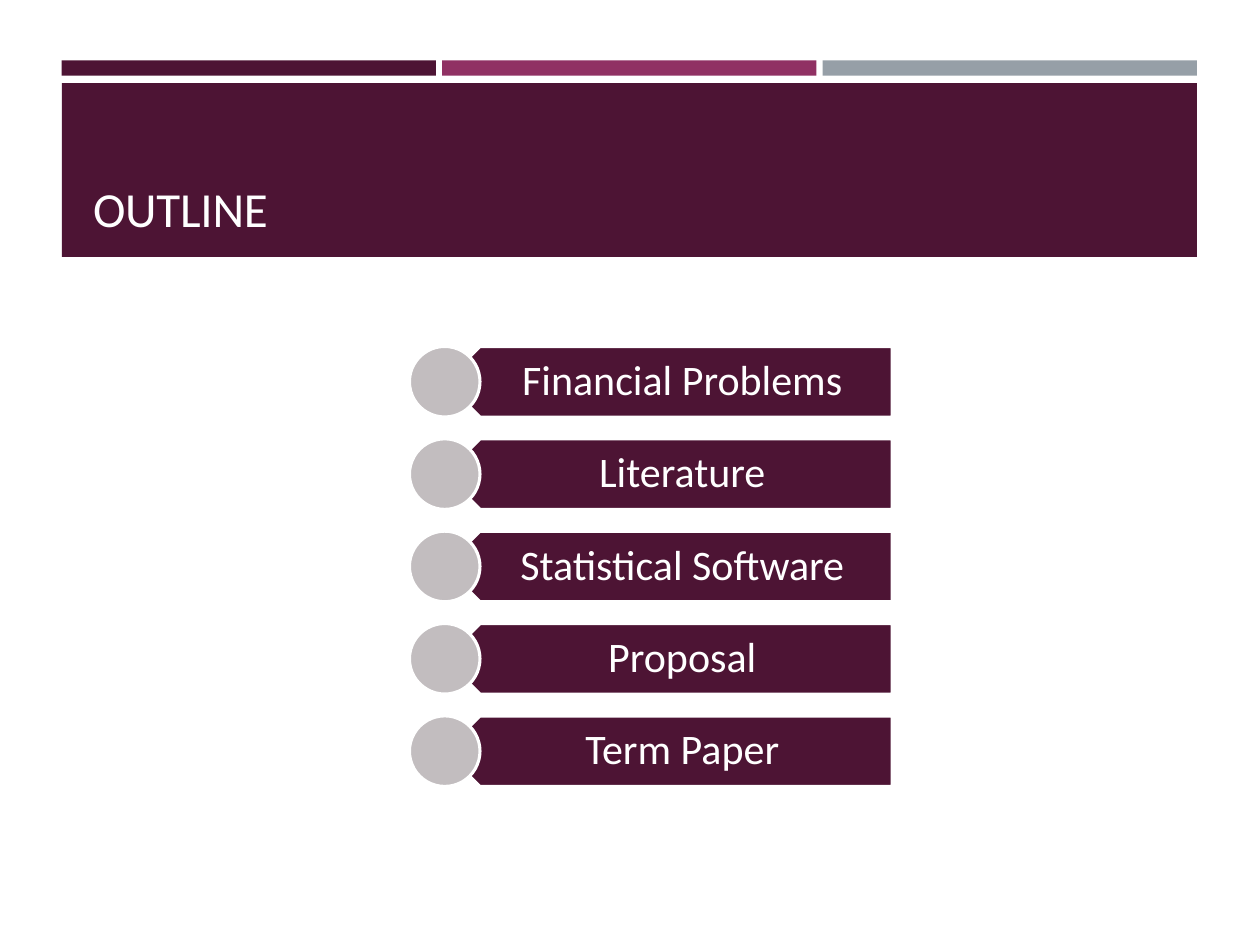
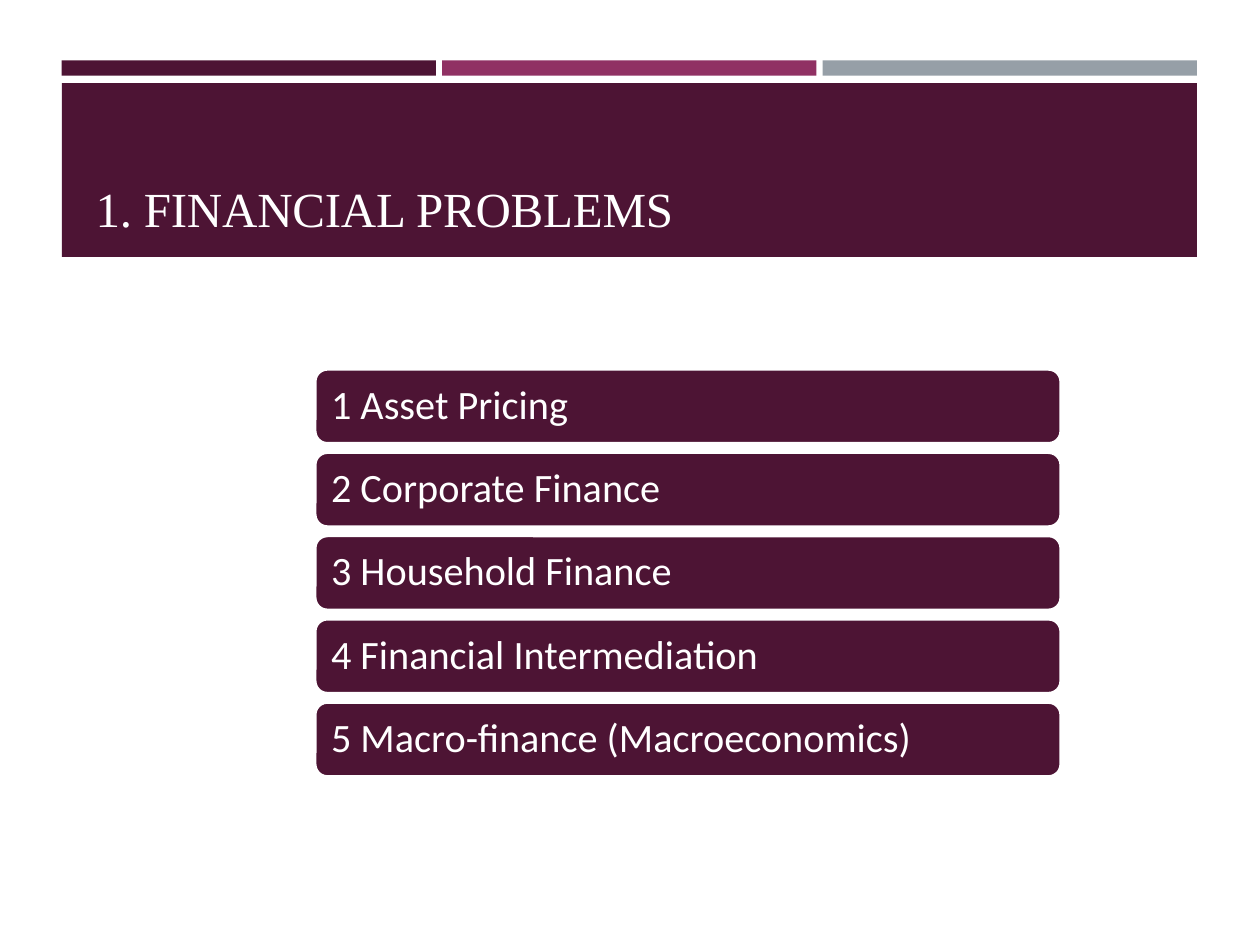
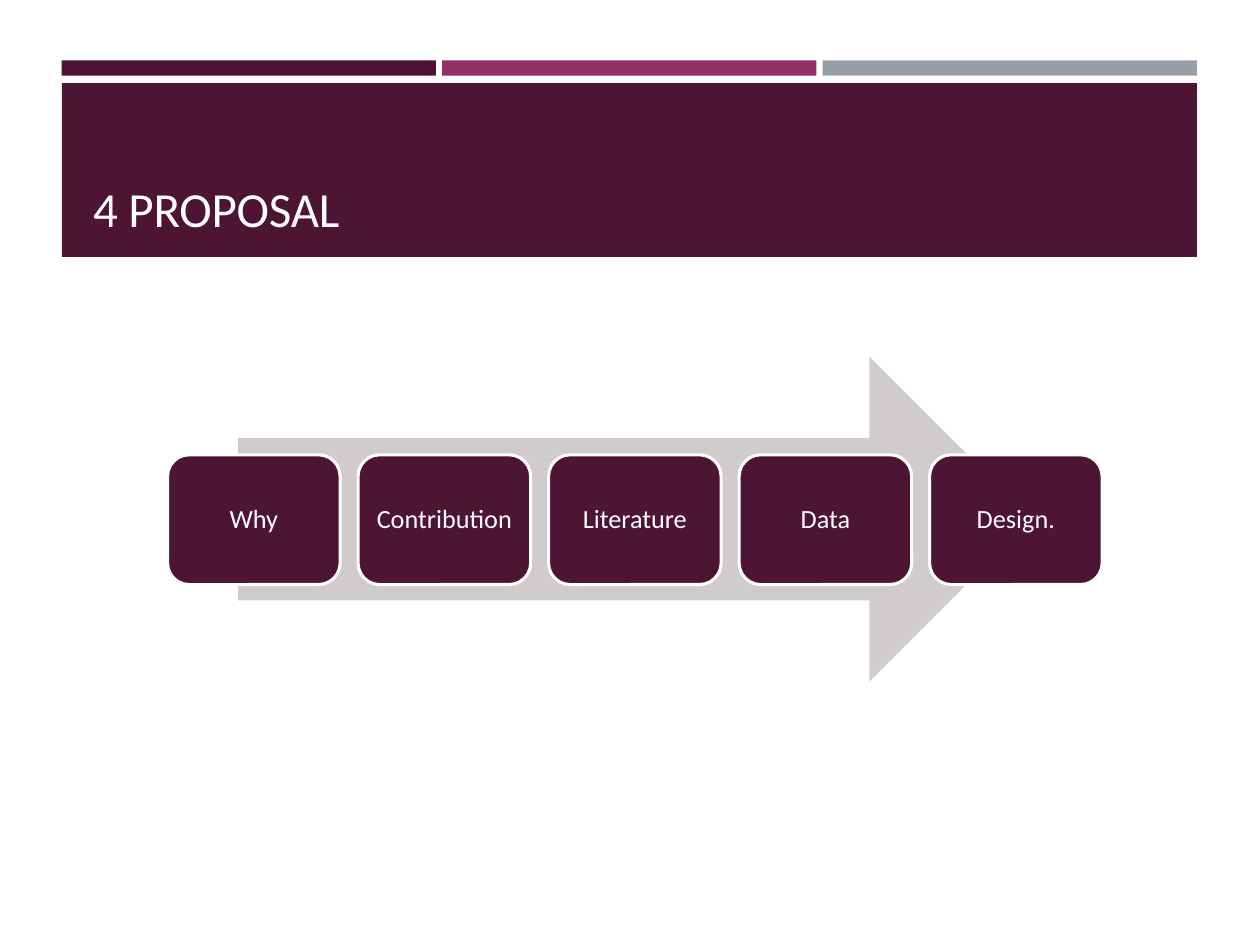
from pptx import Presentation
from pptx import util as u
from pptx.dml import color
from pptx.enum import shapes, text

COLS, ROWS = 100, 75  # grid laid over the slide
DARK, ROSE, STEEL = "4D1434", "903163", "969FA7"
WHITE, DISC, ARROW = "FFFFFF", "C2BDBF", "D0CCCE"
SHAPE, ALIGN, ANCHOR = shapes.MSO_SHAPE, text.PP_ALIGN, text.MSO_ANCHOR


def rgb(value):
    return color.RGBColor.from_string(value)


class Deck:
    """Shared style, and the slide being filled."""

    def __init__(self):
        self.prs = Presentation()
        self.prs.slide_width, self.prs.slide_height = u.Inches(10), u.Inches(7.5)
        self.s = None

    def box(self, x, y, w, h):
        """Turn grid columns and rows into slide lengths."""
        col, row = self.prs.slide_width / COLS, self.prs.slide_height / ROWS
        return [u.Emu(round(n)) for n in (x * col, y * row, w * col, h * row)]

    def shape(self, kind, x, y, w, h, fill, outlined=False):
        sp = self.s.shapes.add_shape(kind, *self.box(x, y, w, h))
        sp.shadow.inherit = False
        sp.fill.solid()
        sp.fill.fore_color.rgb = rgb(fill)
        if outlined:
            sp.line.color.rgb = rgb(WHITE)
            sp.line.width = u.Pt(1.75)
        else:
            sp.line.fill.background()
        return sp

    def textbox(self, x, y, w, h):
        return self.s.shapes.add_textbox(*self.box(x, y, w, h))

    def label(self, sp, words, size, align=ALIGN.LEFT, spacing=0.9,
              insets=(1, 1, 1, 1), anchor=ANCHOR.MIDDLE, font="Calibri"):
        """Set one white paragraph; insets are left, top, right, bottom."""
        tf = sp.text_frame
        tf.word_wrap = True
        tf.vertical_anchor = anchor
        (tf.margin_left, tf.margin_top,
         tf.margin_right, tf.margin_bottom) = self.box(*insets)
        p = tf.paragraphs[0]
        p.text = words
        p.alignment, p.line_spacing = align, spacing
        r = p.runs[0]
        r.font.name, r.font.size = font, u.Pt(size)
        r.font.color.rgb = rgb(WHITE)
        return p

    def title(self, words, **style):
        sp = self.textbox(6.4, 7.5, 87.4, 11.8)
        p = self.label(sp, words, 28, insets=(1, 0.5, 1, 0.5),
                       anchor=ANCHOR.BOTTOM, **{"spacing": 1.0, **style})
        p.runs[0]._r.get_or_add_rPr().set("spc", "-10")
        return p

    def slide(self, title, **style):
        """Start a slide with its three strips, band and title."""
        self.s = self.prs.slides.add_slide(self.prs.slide_layouts[6])
        for i, fill in enumerate((DARK, ROSE, STEEL)):
            self.shape(SHAPE.RECTANGLE, 4.9 + 30.2 * i, 4.8, 29.7, 1.2, fill)
        self.shape(SHAPE.RECTANGLE, 4.9, 6.6, 90.1, 13.8, DARK)
        return self.title(title, **style)

    def card(self, words, size, x, y, w, h, **style):
        sp = self.shape(SHAPE.ROUNDED_RECTANGLE, x, y, w, h, DARK, outlined=True)
        self.label(sp, words, size, **style)


def outline(deck):
    deck.slide("OUTLINE")
    topics = ["Financial Problems", "Literature", "Statistical Software",
              "Proposal", "Term Paper"]
    height = 5.6
    for i, topic in enumerate(topics):
        y = 27.5 + 7.33 * i
        plate = deck.shape(SHAPE.PENTAGON, 35.3, y, 35.5, height, DARK, outlined=True)
        plate.rotation = 180
        sp = deck.textbox(36.8, y, 34.1, height)
        deck.label(sp, topic, 24, ALIGN.CENTER, insets=(2.5, 1, 1.9, 1))
        deck.shape(SHAPE.OVAL, 32.5, y, height, height, DISC, outlined=True)


def financial_problems(deck):
    p = deck.slide("1. FINANCIAL PROBLEMS", font="Times New Roman",
                   align=ALIGN.JUSTIFY, spacing=1.15)
    p._p.get_or_add_pPr().set("marL", str(u.Inches(0.02)))
    fields = ["Asset Pricing", "Corporate Finance", "Household Finance",
              "Financial Intermediation", "Macro-finance (Macroeconomics)"]
    for i, field in enumerate(fields):
        deck.card(f"{i + 1} {field}", 23, 25, 29.3 + 6.61 * i, 59.2, 5.9)


def proposal(deck):
    deck.slide("4 PROPOSAL")
    deck.shape(SHAPE.RIGHT_ARROW, 18.9, 28.3, 63, 25.8, ARROW)
    steps = ["Why", "Contribution", "Literature", "Data", "Design."]
    for i, step in enumerate(steps):
        deck.card(step, 15, 13.3 + 15.12 * i, 36.1, 13.7, 10.3,
                  align=ALIGN.CENTER, insets=(0.6, 0.6, 0.6, 0.6))


def main():
    deck = Deck()
    outline(deck)
    financial_problems(deck)
    proposal(deck)
    deck.prs.save("out.pptx")


if __name__ == "__main__":
    main()
